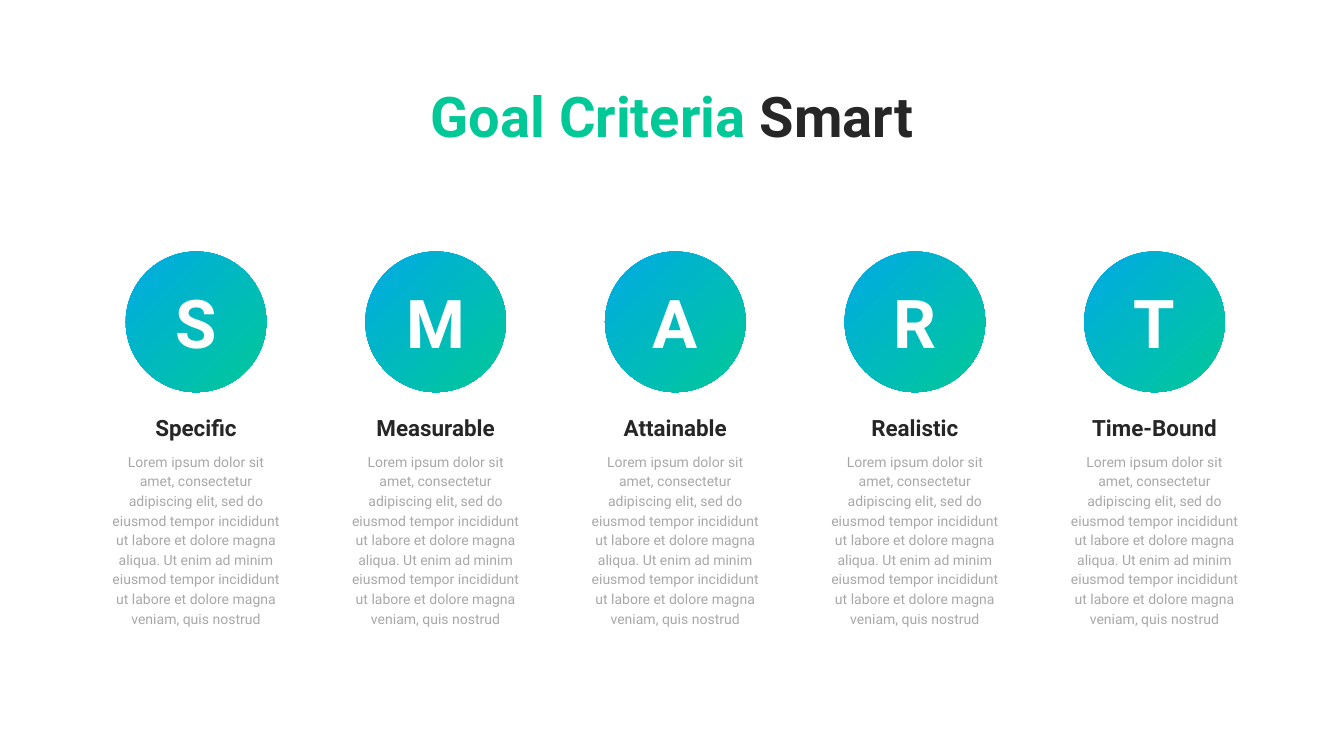
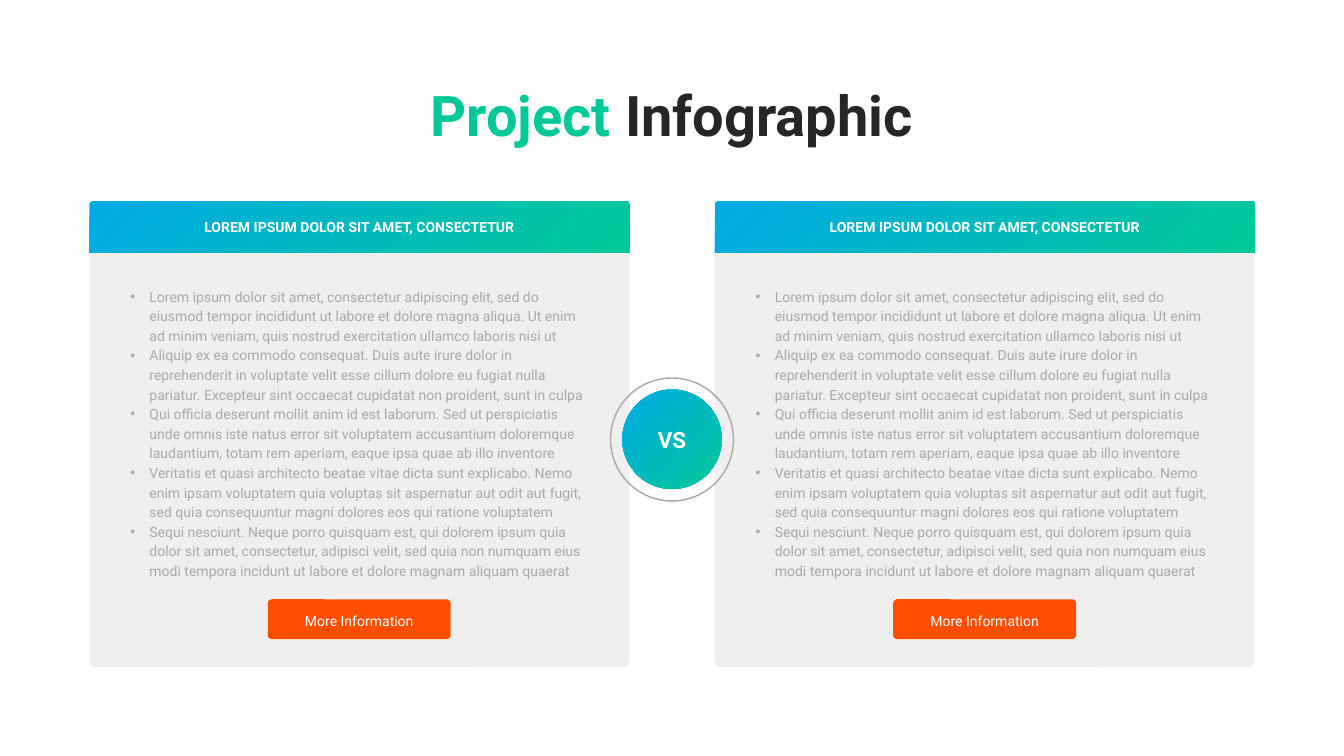
import dataclasses

import lxml.etree
import pptx
import pptx.dml.color
import pptx.enum.shapes
import pptx.enum.text
import pptx.oxml.ns
import pptx.util

Inches = pptx.util.Inches
Pt = pptx.util.Pt
SHAPE = pptx.enum.shapes.MSO_SHAPE
ALIGN = pptx.enum.text.PP_ALIGN
ANCHOR = pptx.enum.text.MSO_ANCHOR


@dataclasses.dataclass(frozen=True)
class Theme:
    font: str = "Roboto"
    green: str = "00C997"
    blue: str = "00AAE5"
    orange: str = "FE4F00"
    dark: str = "252625"
    gray: str = "A7A8A7"
    panel: str = "C7C8C7"
    white: str = "FEFFFE"
    panel_opacity: int = 28
    title_size: int = 80
    letter_size: int = 96
    heading_size: int = 32
    body_size: int = 20
    body_leading: int = 28


THEME = Theme()
SLIDE_WIDTH, SLIDE_HEIGHT = 26.67, 15
TIGHT, NORMAL = (0.06, 0.06), (0.1, 0.05)

# Slide 1 content
CRITERIA = ["Specific", "Measurable", "Attainable", "Realistic", "Time-Bound"]
CRITERION_TEXT = [
    "Lorem ipsum dolor sit amet, consectetur adipiscing elit, sed do eiusmod "
    "tempor incididunt ut labore et dolore magna aliqua. Ut enim ad minim",
    "eiusmod tempor incididunt ut labore et dolore magna veniam, quis nostrud",
]
FIRST_CENTER, LAST_CENTER = 3.89, 22.91

# Slide 2 content
PANEL_HEADING = "LOREM IPSUM DOLOR SIT AMET, CONSECTETUR"
PANEL_POINTS = [
    "Lorem ipsum dolor sit amet, consectetur adipiscing elit, sed do eiusmod "
    "tempor incididunt ut labore et dolore magna aliqua. Ut enim ad minim "
    "veniam, quis nostrud exercitation ullamco laboris nisi ut",
    "Aliquip ex ea commodo consequat. Duis aute irure dolor in reprehenderit "
    "in voluptate velit esse cillum dolore eu fugiat nulla pariatur. "
    "Excepteur sint occaecat cupidatat non proident, sunt in culpa",
    "Qui officia deserunt mollit anim id est laborum. Sed ut perspiciatis "
    "unde omnis iste natus error sit voluptatem accusantium doloremque "
    "laudantium, totam rem aperiam, eaque ipsa quae ab illo inventore",
    "Veritatis et quasi architecto beatae vitae dicta sunt explicabo. Nemo "
    "enim ipsam voluptatem quia voluptas sit aspernatur aut odit aut fugit, "
    "sed quia consequuntur magni dolores eos qui ratione voluptatem",
    "Sequi nesciunt. Neque porro quisquam est, qui dolorem ipsum quia dolor "
    "sit amet, consectetur, adipisci velit, sed quia non numquam eius modi "
    "tempora incidunt ut labore et dolore magnam aliquam quaerat",
]
PANEL_CENTERS = (7.13, 19.54)
PANEL_WIDTH = 10.71


def rgb(color):
    return pptx.dml.color.RGBColor.from_string(color)


def centered(center, top, width, height):
    """Return left, top, width and height of a box centred on a vertical axis."""
    return [Inches(value) for value in (center - width / 2, top, width, height)]


def place(box, center, top, width, height):
    box.left, box.top, box.width, box.height = centered(center, top, width, height)


def format_run(run, size, color, bold=False):
    font = run.font
    font.name, font.size, font.bold = THEME.font, Pt(size), bold
    font.color.rgb = rgb(color)


def set_frame(frame, insets, anchor=ANCHOR.TOP):
    frame.word_wrap = True
    frame.auto_size = pptx.enum.text.MSO_AUTO_SIZE.SHAPE_TO_FIT_TEXT
    frame.vertical_anchor = anchor
    frame.margin_left = frame.margin_right = Inches(insets[0])
    frame.margin_top = frame.margin_bottom = Inches(insets[1])


# Text elements
def add_title(page, top, accent, rest):
    title = page.shapes.title
    place(title, SLIDE_WIDTH / 2, top, 12.58, 1.46)
    set_frame(title.text_frame, TIGHT)
    para = title.text_frame.paragraphs[0]
    para.alignment = ALIGN.CENTER
    for text, color in ((accent, THEME.green), (rest, THEME.dark)):
        run = para.add_run()
        run.text = text
        format_run(run, THEME.title_size, color, bold=True)


def add_label(shapes, area, text, size, color):
    """Add one bold line, centred in its area."""
    frame = shapes.add_textbox(*centered(*area)).text_frame
    set_frame(frame, TIGHT, ANCHOR.MIDDLE)
    frame.text = text
    frame.paragraphs[0].alignment = ALIGN.CENTER
    format_run(frame.paragraphs[0].runs[0], size, color, bold=True)


def write_body(box, texts, color, alignment):
    frame = box.text_frame
    set_frame(frame, NORMAL)
    frame.text = "\n".join(texts)
    for para in frame.paragraphs:
        para.alignment = alignment
        para.line_spacing = Pt(THEME.body_leading)
        para.space_before = Pt(0)
        format_run(para.runs[0], THEME.body_size, color)


def add_bullets(para):
    properties = para._p.get_or_add_pPr()
    properties.set("marL", str(Inches(0.38)))
    properties.set("indent", str(-Inches(0.38)))
    bullet = lxml.etree.SubElement(properties, pptx.oxml.ns.qn("a:buChar"))
    bullet.set("char", "•")


# Shape elements
def add_plain_shape(shapes, kind, area, adjustment=None):
    shape = shapes.add_shape(kind, *centered(*area))
    shape.shadow.inherit = False
    shape.line.fill.background()
    if adjustment is not None:
        shape.adjustments[0] = adjustment
    return shape


def add_solid(shapes, area, color, adjustment, opacity=100):
    shape = add_plain_shape(shapes, SHAPE.ROUNDED_RECTANGLE, area, adjustment)
    shape.fill.solid()
    shape.fill.fore_color.rgb = rgb(color)
    if opacity < 100:
        color_element = shape._element.spPr.find(".//" + pptx.oxml.ns.qn("a:srgbClr"))
        alpha = lxml.etree.SubElement(color_element, pptx.oxml.ns.qn("a:alpha"))
        alpha.set("val", str(opacity * 1000))


def add_gradient(shapes, kind, area, adjustment=None):
    shape = add_plain_shape(shapes, kind, area, adjustment)
    shape.fill.gradient()
    shape.fill.gradient_angle = 315
    for stop, color in zip(shape.fill.gradient_stops, (THEME.blue, THEME.green)):
        stop.color.rgb = rgb(color)


def add_ring(shapes, area):
    ring = add_plain_shape(shapes, SHAPE.OVAL, area)
    ring.fill.background()
    ring.line.color.rgb = rgb(THEME.gray)
    ring.line.width = Pt(2)


# Composed elements
def add_criterion(page, center, name):
    shapes = page.shapes.add_group_shape().shapes
    add_gradient(shapes, SHAPE.OVAL, (center, 4.99, 2.79, 2.79))
    add_label(shapes, (center, 8.16, 3.33, 0.65), name, THEME.heading_size, THEME.dark)
    box = shapes.add_textbox(*centered(center, 8.89, 3.63, 3.61))
    write_body(box, CRITERION_TEXT, THEME.gray, ALIGN.CENTER)
    add_label(shapes, (center, 5.52, 1.51, 1.73), name[0],
              THEME.letter_size, THEME.white)


def add_panel(page, center, body):
    shapes = page.shapes
    add_solid(shapes, (center, 4.08, PANEL_WIDTH, 9.16), THEME.panel, 0.013,
              THEME.panel_opacity)
    add_gradient(shapes, SHAPE.ROUND_2_SAME_RECTANGLE,
                 (center, 3.99, PANEL_WIDTH, 1.02), 0.063)
    add_label(shapes, (center, 4.28, 6.63, 0.45), PANEL_HEADING,
              THEME.body_size, THEME.white)

    # The list goes in front of the panel
    place(body, center, 5.61, 9.29, 5.96)
    body._element.getparent().append(body._element)
    write_body(body, PANEL_POINTS, THEME.gray, ALIGN.LEFT)
    for para in body.text_frame.paragraphs:
        add_bullets(para)

    add_solid(shapes, (center, 11.89, 3.63, 0.79), THEME.orange, 0.1)
    caption = shapes.add_textbox(*centered(center, 12.04, 3.33, 0.47))
    write_body(caption, ["More Information"], THEME.white, ALIGN.CENTER)


def add_versus_badge(page):
    shapes = page.shapes.add_group_shape().shapes
    center = SLIDE_WIDTH / 2
    add_gradient(shapes, SHAPE.OVAL, (center, 7.73, 1.97, 1.97))
    add_ring(shapes, (center, 7.5, 2.44, 2.44))
    add_label(shapes, (center, 8.39, 0.85, 0.65), "VS",
              THEME.heading_size, THEME.white)


# Slides
def build_smart_slide(deck):
    page = deck.slides.add_slide(deck.slide_layouts.get_by_name("Title Only"))
    add_title(page, 1.56, "Goal Criteria", " Smart")
    step = (LAST_CENTER - FIRST_CENTER) / (len(CRITERIA) - 1)
    for index, name in enumerate(CRITERIA):
        add_criterion(page, FIRST_CENTER + index * step, name)


def build_versus_slide(deck):
    page = deck.slides.add_slide(deck.slide_layouts.get_by_name("Two Content"))
    add_title(page, 1.53, "Project ", "Infographic")
    bodies = list(page.placeholders)[1:]
    for center, body in zip(PANEL_CENTERS, bodies):
        add_panel(page, center, body)
    add_versus_badge(page)


def main():
    deck = pptx.Presentation()
    deck.slide_width, deck.slide_height = Inches(SLIDE_WIDTH), Inches(SLIDE_HEIGHT)
    build_smart_slide(deck)
    build_versus_slide(deck)
    deck.save("out.pptx")


if __name__ == "__main__":
    main()
